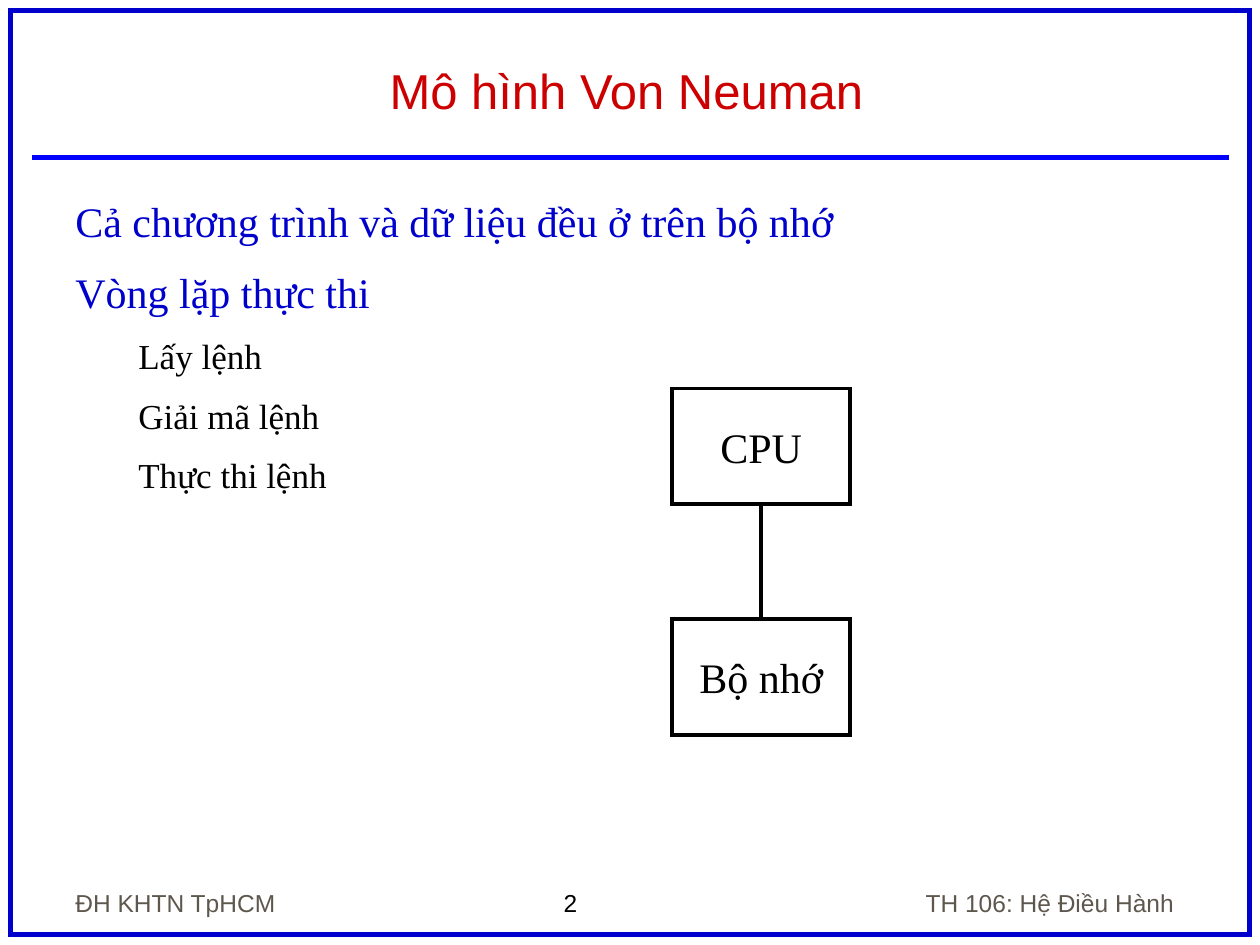
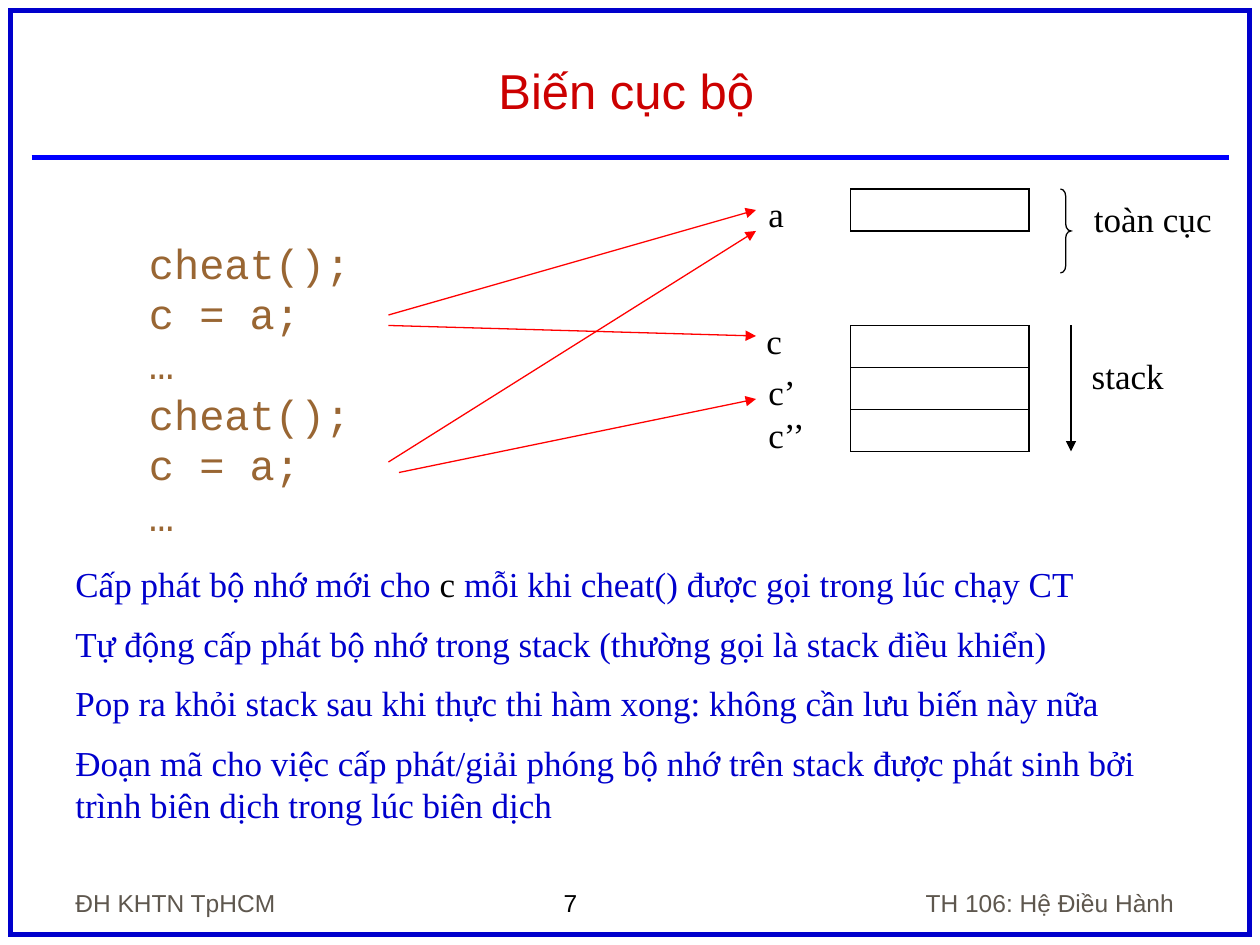
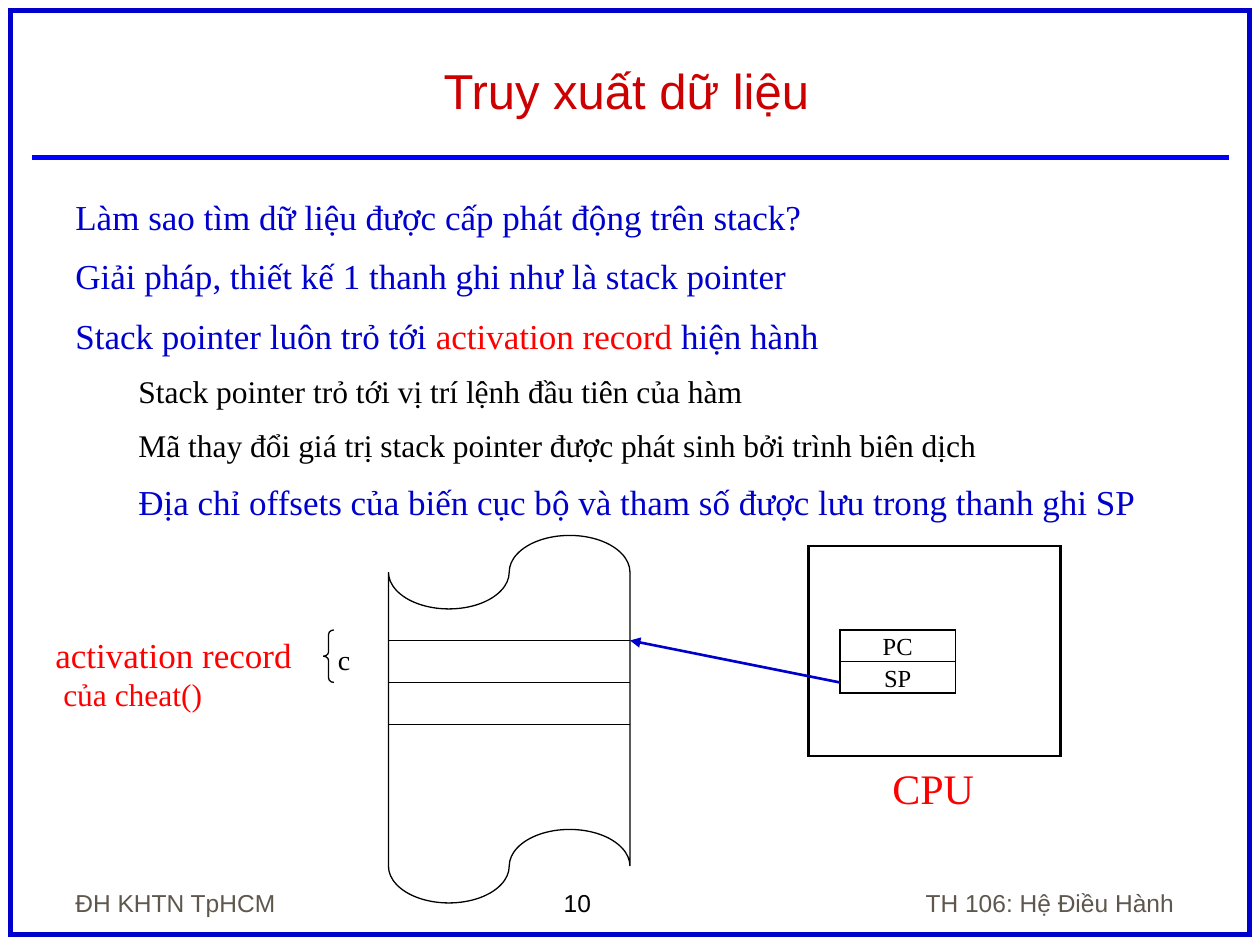
from pptx import Presentation
from pptx import util as u
from pptx.dml import color as dml
from pptx.enum import shapes, text
from pptx.oxml import ns
from lxml import etree

PX = 7620  # EMU in one px: 120 px to the inch
SANS, SERIF, MONO = "Arial", "Times New Roman", "Courier New"
BLACK, BLUE, RED = "000000", "0000CC", "FF0000"
RULE_BLUE, TITLE_RED, GREY, BROWN = "0000FF", "CC0000", "5E574E", "996633"
LEFT, CENTER, RIGHT = text.PP_ALIGN.LEFT, text.PP_ALIGN.CENTER, text.PP_ALIGN.RIGHT
TOP, MIDDLE, BOTTOM = text.MSO_ANCHOR.TOP, text.MSO_ANCHOR.MIDDLE, text.MSO_ANCHOR.BOTTOM
SHAPE = shapes.MSO_SHAPE


def px(*lengths):
    return [u.Emu(length * PX) for length in lengths]


def rgb(code):
    return dml.RGBColor.from_string(code)


def write(paragraph, words, size=20, color=BLACK, font=SERIF, align=LEFT,
          before=0, indent=0):
    """Fill a paragraph; words is a string or a list of (string, colour)."""
    paragraph.alignment = align
    paragraph.space_before = u.Pt(before)
    if indent:
        paragraph._p.get_or_add_pPr().set("marL", str(indent * PX))
    for part, tint in [(words, color)] if isinstance(words, str) else words:
        run = paragraph.add_run()
        run.text = part
        run.font.size = u.Pt(size)
        run.font.name = font
        run.font.color.rgb = rgb(tint)


class Deck:
    def __init__(self):
        self.prs = Presentation()
        self.prs.slide_width, self.prs.slide_height = px(1200, 900)
        self.slide = None

    def new_slide(self, title, number):
        """Start a slide with its frame, rule, footers and title."""
        self.slide = self.prs.slides.add_slide(self.prs.slide_layouts[6])
        self.label(525, 840, 131, 41, number, size=14, font=SANS)
        self.shape(SHAPE.RECTANGLE, 10, 10, 1180, 880, BLUE, 3)
        self.line(30, 150, 1170, 150, RULE_BLUE, 3)
        footer = dict(size=14, font=SANS, color=GREY, before=8.8)
        self.text(60, 820, 250, 60, [("ĐH KHTN TpHCM", footer)], BOTTOM)
        self.text(800, 820, 330, 60,
                  [("TH 106: Hệ Điều Hành", dict(footer, align=RIGHT))], BOTTOM)
        heading = dict(size=28, font=SANS, color=TITLE_RED, align=CENTER)
        self.text(53, 30, 1087, 90, [(title, heading)], BOTTOM)

    def fill_frame(self, frame, paragraphs, anchor):
        frame.vertical_anchor = anchor
        for i, (words, form) in enumerate(paragraphs):
            write(frame.add_paragraph() if i else frame.paragraphs[0], words, **form)

    def text(self, x, y, w, h, paragraphs, anchor=TOP, wrap=True):
        frame = self.slide.shapes.add_textbox(*px(x, y, w, h)).text_frame
        frame.word_wrap = wrap
        self.fill_frame(frame, paragraphs, anchor)
        return frame

    def label(self, x, y, w, h, words, **form):
        frame = self.text(x, y, w, h, [(words, form)], wrap=False)
        frame.auto_size = text.MSO_AUTO_SIZE.SHAPE_TO_FIT_TEXT

    def style_line(self, line, color, weight):
        """Set colour, weight and sharp corners; return the line element."""
        line.color.rgb = rgb(color)
        line.width = u.Pt(weight)
        outline = line._get_or_add_ln()
        etree.SubElement(outline, ns.qn("a:miter")).set("lim", "800000")
        return outline

    def shape(self, kind, x, y, w, h, color=BLACK, weight=0.75, curve=None):
        """Draw an unfilled outline; curve is the bend of a brace."""
        outline = self.slide.shapes.add_shape(kind, *px(x, y, w, h))
        outline.shadow.inherit = False
        outline.fill.background()
        self.style_line(outline.line, color, weight)
        if curve:
            outline.adjustments[0] = curve
        return outline

    def box(self, x, y, w, h, words="", size=24, weight=0.75):
        outline = self.shape(SHAPE.RECTANGLE, x, y, w, h, weight=weight)
        if words:
            outline.text_frame.word_wrap = False
            self.fill_frame(outline.text_frame,
                            [(words, dict(size=size, align=CENTER))], MIDDLE)

    def line(self, x1, y1, x2, y2, color=BLACK, weight=0.75, arrow=False):
        stroke = self.slide.shapes.add_connector(
            shapes.MSO_CONNECTOR.STRAIGHT, *px(x1, y1, x2, y2))
        outline = self.style_line(stroke.line, color, weight)
        if arrow:
            etree.SubElement(outline, ns.qn("a:tailEnd")).set("type", "triangle")
        etree.SubElement(stroke._element.spPr, ns.qn("a:effectLst"))


def von_neumann_slide(deck):
    deck.new_slide("Mô hình Von Neuman", "2")
    point = dict(size=24, color=BLUE, before=12)
    step = dict(before=10, indent=60)
    deck.text(60, 180, 1073, 320, [
        ("Cả chương trình và dữ liệu đều ở trên bộ nhớ", point),
        ("Vòng lặp thực thi", point),
        ("Lấy lệnh", step),
        ("Giải mã lệnh", step),
        ("Thực thi lệnh", step),
    ])
    # CPU joined to memory
    for y, part in ((370, "CPU"), (590, "Bộ nhớ")):
        deck.box(640, y, 170, 110, part, weight=2.25)
    deck.line(725, 482, 725, 588, weight=2.25)


def local_variables_slide(deck):
    deck.new_slide("Biến cục bộ", "7")
    point = dict(color=BLUE, before=10)
    deck.text(60, 530, 1073, 300, [
        ([("Cấp phát bộ nhớ mới cho ", BLUE), ("c", BLACK),
          (" mỗi khi cheat() được gọi trong lúc chạy CT", BLUE)], point),
        ("Tự động cấp phát bộ nhớ trong stack (thường gọi là stack điều khiển)", point),
        ("Pop ra khỏi stack sau khi thực thi hàm xong: không cần lưu biến này nữa", point),
        ("Đoạn mã cho việc cấp phát/giải phóng bộ nhớ trên stack được phát sinh bởi "
         "trình biên dịch trong lúc biên dịch", point),
    ])
    # Code calling cheat() twice
    code = dict(size=24, font=MONO, color=BROWN)
    deck.text(130, 220, 350, 300,
              [(row, code) for row in ("cheat();", "c = a;", "…") * 2])
    # Memory cells and their variables
    for cell_y in (180, 310, 350, 390):
        deck.box(810, cell_y, 170, 40)
    for x, y, variable in ((720, 177, "a"), (718, 298, "c"),
                           (720, 347, "c’"), (720, 388, "c’’")):
        deck.label(x, y, 70, 53, variable)
    # Accesses from code to memory
    for x, y, target_y in ((370, 300, 200), (370, 440, 220),
                           (380, 450, 380), (370, 310, 320)):
        deck.line(x, y, 720, target_y, RED, arrow=True)
    # Memory regions
    deck.shape(SHAPE.RIGHT_BRACE, 1010, 180, 10, 80, curve=0.67)
    deck.label(1030, 182, 140, 53, "toàn cục")
    deck.line(1020, 310, 1020, 430, arrow=True)
    deck.label(1028, 332, 110, 53, "stack")


def data_access_slide(deck):
    deck.new_slide("Truy xuất dữ liệu", "10")
    point = dict(color=BLUE, before=10)
    detail = dict(size=18, before=9, indent=60)
    deck.text(60, 180, 1073, 340, [
        ("Làm sao tìm dữ liệu được cấp phát động trên stack?", point),
        ("Giải pháp, thiết kế 1 thanh ghi như là stack pointer", point),
        ([("Stack pointer luôn trỏ tới ", BLUE), ("activation record ", RED),
          ("hiện hành", BLUE)], point),
        ("Stack pointer trỏ tới vị trí lệnh đầu tiên của hàm", detail),
        ("Mã thay đổi giá trị stack pointer được phát sinh bởi trình biên dịch", detail),
        ("Địa chỉ offsets của biến cục bộ và tham số được lưu trong thanh ghi SP",
         dict(point, indent=60)),
    ])
    # CPU and its registers
    deck.box(770, 520, 240, 200, weight=1.5)
    for y, register in ((600, "PC"), (630, "SP")):
        deck.box(800, y, 110, 30, register, size=14)
    deck.label(838, 720, 110, 60, "CPU", size=24, color=RED)
    deck.line(800, 650, 600, 610, BLUE, 1.5, arrow=True)
    # Stack with its records
    deck.shape(SHAPE.FLOWCHART_PUNCHED_TAPE, 370, 510, 230, 350)
    for record_y in (610, 650, 690):
        deck.line(370, record_y, 600, record_y)
    # Activation record of cheat()
    deck.label(310, 606, 40, 44, "c", size=16)
    deck.text(41, 597, 250, 89, [("activation record", dict(color=RED)),
                                 (" của cheat()", dict(size=18, color=RED))])
    deck.shape(SHAPE.LEFT_BRACE, 308, 600, 10, 50, curve=0.42)


def main():
    deck = Deck()
    von_neumann_slide(deck)
    local_variables_slide(deck)
    data_access_slide(deck)
    deck.prs.save("out.pptx")


if __name__ == "__main__":
    main()
